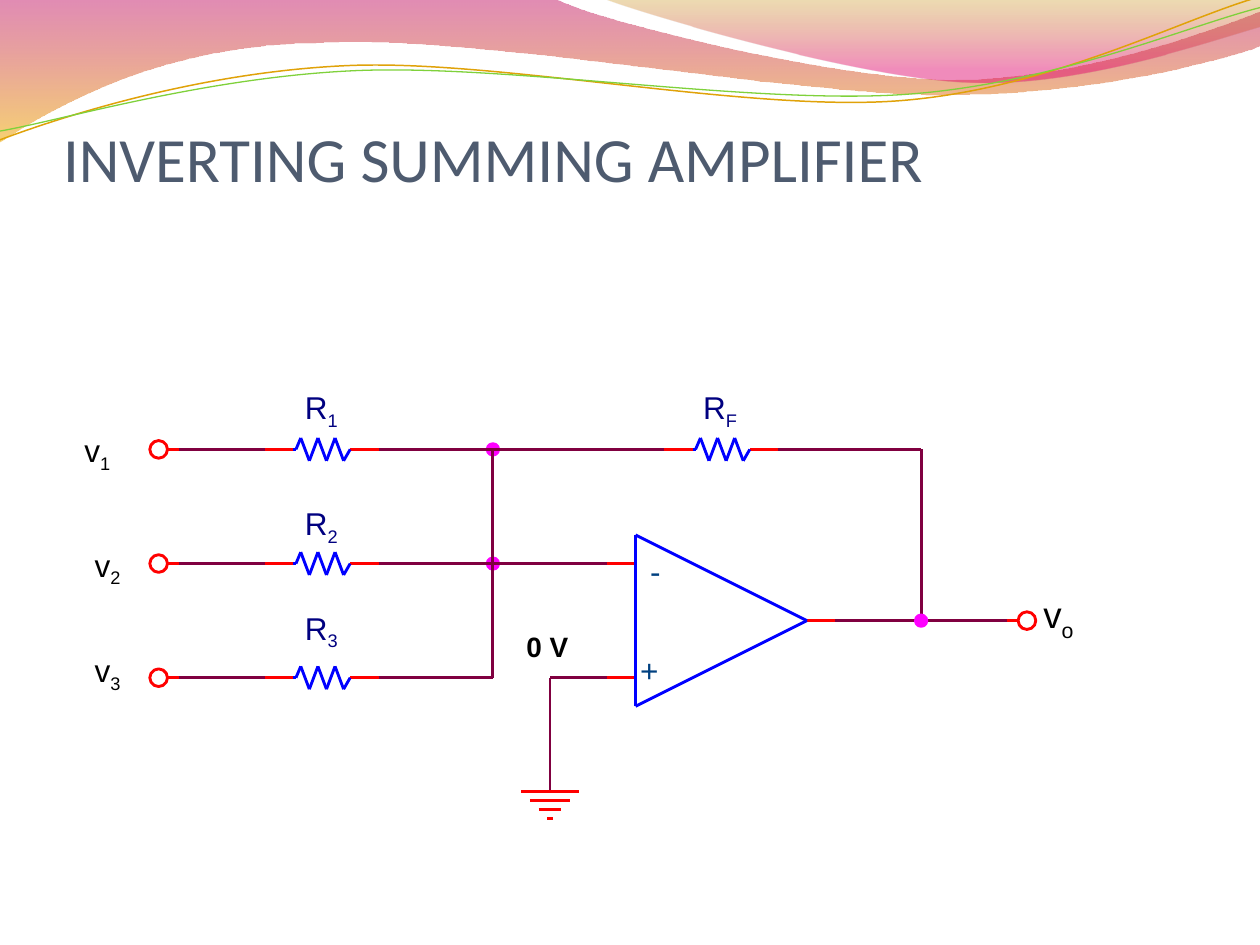
from itertools import pairwise
from math import cos, radians, sin
from lxml.etree import SubElement
from pptx import Presentation
from pptx.dml.color import RGBColor
from pptx.enum.shapes import MSO_CONNECTOR as Link, MSO_SHAPE as Form
from pptx.enum.text import MSO_ANCHOR as Anchor, MSO_AUTO_SIZE as Auto, PP_ALIGN as Align
from pptx.oxml.ns import qn
from pptx.util import Inches, Pt

RED = RGBColor(0xFF, 0x00, 0x00)
BLUE = RGBColor(0x00, 0x00, 0xFF)
PLUM = RGBColor(0x80, 0x00, 0x40)
PINK = RGBColor(0xFF, 0x00, 0xFF)
NAVY = RGBColor(0x00, 0x00, 0x80)
TEAL = RGBColor(0x00, 0x40, 0x80)
BLACK = RGBColor(0x00, 0x00, 0x00)
SLATE = RGBColor(0x4E, 0x5B, 0x6F)
ROSE = RGBColor(0xBD, 0x00, 0x59)
AMBER = RGBColor(0xF0, 0xAB, 0x00)
BRONZE = RGBColor(0xC3, 0x8B, 0x00)
CERISE = RGBColor(0xE1, 0x00, 0x6B)
GOLD = RGBColor(0xE0, 0xA2, 0x09)
GREEN = RGBColor(0x7F, 0xD1, 0x3B)

STEP = 6.57 / 29
LEFT, TOP = 1.42, 10.7 / 3
STUB = 0.4
WIDTH = 1.63
TILT = 2.7

SWEEP = [(0, -0.01), (4.4, -0.01), (4.76, 0.17, 6.64, 0.63, 7.58, 0.63),
         (8.53, 0.63, 9.58, 0.26, 10, 0.09), (10.01, 0.36),
         (9.83, 0.44, 8.7, 0.76, 7.46, 0.75), (6.22, 0.75, 3.82, 0.28, 2.57, 0.34),
         (1.29, 0.35, 0.46, 0.83, -0.01, 1.13)]
CREST = [(4.79, -0.01), (5.09, 0.11, 6.82, 0.62, 7.69, 0.65),
         (8.56, 0.69, 9.61, 0.32, 10, 0.21), (10, 0)]
UPPER = [(0, 1.11), (0.48, 0.93, 1.58, 0.57, 2.77, 0.52),
         (3.95, 0.47, 5.93, 0.89, 7.13, 0.8), (8.33, 0.71, 9.38, 0.15, 9.98, -0.02)]
LOWER = [(0, 1.04), (0.47, 0.96, 1.64, 0.61, 2.83, 0.56),
         (4.03, 0.51, 5.97, 0.83, 7.17, 0.75), (8.36, 0.67, 9.41, 0.21, 10, 0.06)]


def spot(col, row):
    return LEFT + col * STEP, TOP + row * STEP


def pairs(part):
    return list(zip(part[::2], part[1::2]))


def turn(dot, mid):
    x, y = dot[0] - mid[0], dot[1] - mid[1]
    c, s = cos(radians(TILT)), sin(radians(TILT))
    return mid[0] + x * c - y * s, mid[1] + x * s + y * c


def outline(slide, route, close):
    dots = [tuple(map(Inches, dot)) for part in route for dot in pairs(part)]
    pen = slide.shapes.build_freeform(*dots[0])
    pen.add_line_segments(dots[1:], close=close)
    shape = pen.convert_to_shape()
    shape.shadow.inherit = False
    legs = iter(list(shape.element.iter(qn("a:lnTo"))))
    for part in route[1:]:
        group = [next(legs) for _ in pairs(part)]
        if len(group) == 3:
            bend = group[0].makeelement(qn("a:cubicBezTo"))
            group[0].addprevious(bend)
            for leg in group:
                bend.append(leg[0])
                leg.getparent().remove(leg)
    return shape


def band(slide, route, stops):
    shape = outline(slide, route, True)
    shape.line.fill.background()
    shape.fill.gradient()
    shape.fill.gradient_angle = 270
    for stop, (place, color, _) in zip(shape.fill.gradient_stops, stops):
        stop.position = place
        stop.color.rgb = color
    for tag, (_, _, alpha) in zip(shape.element.iter(qn("a:srgbClr")), stops):
        SubElement(tag, qn("a:alpha")).set("val", str(alpha * 1000))


def curve(slide, route, mid, color, width):
    flat = [sum((turn(dot, mid) for dot in pairs(part)), ()) for part in route]
    shape = outline(slide, flat, False)
    shape.rotation = 360 - TILT
    shape.fill.background()
    shape.line.color.rgb = color
    shape.line.width = Pt(width)


def wire(slide, color, *spots):
    for start, end in pairwise(spots):
        ends = [Inches(v) for v in (*spot(*start), *spot(*end))]
        line = slide.shapes.add_connector(Link.STRAIGHT, *ends)
        line.line.color.rgb = color
        line.line.width = Pt(WIDTH)
        SubElement(line.element.spPr, qn("a:effectLst"))


def ring(slide, col, row, size, color, solid=False):
    x, y = spot(col, row)
    box = (x - size / 2, y - size / 2, size, size)
    shape = slide.shapes.add_shape(Form.OVAL, *map(Inches, box))
    shape.shadow.inherit = False
    shape.line.color.rgb = color
    shape.line.width = Pt(WIDTH)
    if solid:
        shape.fill.solid()
        shape.fill.fore_color.rgb = color
    else:
        shape.fill.background()


def write(frame, words, sub="", size=18, face="Arial", color=BLACK, bold=False):
    para = frame.paragraphs[0]
    para.alignment = Align.LEFT
    for part in filter(None, (words, sub)):
        run = para.add_run()
        run.text = part
        font = run.font
        font.size, font.name, font.bold = Pt(size), face, bold
        font.color.rgb = color
        if part == sub:
            run._r.get_or_add_rPr().set("baseline", "-25000")


def label(slide, box, words, inset=(0, 0), wrap=False, **style):
    frame = slide.shapes.add_textbox(*map(Inches, box)).text_frame
    frame.margin_left = frame.margin_right = Inches(inset[0])
    frame.margin_top = frame.margin_bottom = Inches(inset[1])
    frame.word_wrap = wrap
    frame.auto_size = Auto.SHAPE_TO_FIT_TEXT
    write(frame, words, **style)


def port(slide, col, row, side):
    tip = col + side * STUB
    wire(slide, RED, (col, row), (tip, row))
    ring(slide, tip + side * 0.07 / STEP, row, 0.14, RED)


def coil(slide, col, row):
    wire(slide, RED, (col, row), (col + 1, row))
    wire(slide, RED, (col + 3, row), (col + 4, row))
    first = col + 1
    peaks = [(first + 0.27 + 0.3 * i, row + (0.4 if i % 2 else -0.4)) for i in range(6)]
    wire(slide, BLUE, (first, row), (first + 0.1, row), *peaks, (col + 3, row))


def ground(slide, col, row):
    for i, half in enumerate((1, 0.7, 0.4, 0.1)):
        y = row + 0.31 * i
        wire(slide, RED, (col - half, y), (col + half, y))


def heading(slide):
    title = slide.shapes.title
    title.left, title.top, title.width, title.height = map(Inches, (0.5, 0.3, 9, 1.25))
    frame = title.text_frame
    frame.margin_left = frame.margin_right = frame.margin_bottom = 0
    frame.margin_top = Inches(0.05)
    frame.vertical_anchor = Anchor.BOTTOM
    write(frame, "INVERTING SUMMING AMPLIFIER", size=36, face="Calibri", color=SLATE)
    title.element.getparent().append(title.element)


def inputs(slide):
    marks = (("1", 0.67, 3.42, 3.08), ("2", 0.75, 4.33, 4), ("3", 0.75, 5.17, 4.83))
    for i, (sub, x, y, top) in enumerate(marks):
        row = 4 * i
        port(slide, 0, row, -1)
        wire(slide, PLUM, (0, row), (3, row))
        coil(slide, 3, row)
        wire(slide, PLUM, (7, row), (11, row))
        label(slide, (x, y, 0.22, 0.3), "v", sub=sub)
        label(slide, (2.42, top, 0.27, 0.3), "R", sub=sub, color=NAVY)
    wire(slide, PLUM, (11, 0), (11, 4), (11, 8))


def output(slide):
    wire(slide, PLUM, (11, 0), (17, 0))
    coil(slide, 17, 0)
    wire(slide, PLUM, (21, 0), (26, 0), (26, 6), (29, 6))
    wire(slide, PLUM, (23, 6), (26, 6))
    port(slide, 29, 6, 1)
    ring(slide, 26, 6, 0.09, PINK, solid=True)
    label(slide, (5.58, 3.08, 0.33, 0.3), "R", sub="F", wrap=True, color=NAVY)
    label(slide, (8.28, 4.7, 0.25, 0.35), "v", sub="o", size=21)


def opamp(slide):
    wire(slide, PLUM, (11, 4), (15, 4))
    wire(slide, PLUM, (15, 8), (13, 8), (13, 12))
    for row in (4, 8):
        wire(slide, RED, (15, row), (16, row))
    wire(slide, RED, (22, 6), (23, 6))
    wire(slide, BLUE, (16, 3), (22, 6), (16, 9), (16, 3))
    ground(slide, 13, 12)
    label(slide, (5.16, 4.38, 0.08, 0.3), "-", color=TEAL)
    label(slide, (5.08, 5.17, 0.15, 0.3), "+", color=TEAL)
    label(slide, (4.08, 4.95, 0.53, 0.37), "0 V", inset=(0.1, 0.05), size=16, bold=True)


def main():
    deck = Presentation()
    deck.slide_width, deck.slide_height = Inches(10), Inches(7.5)
    slide = deck.slides.add_slide(deck.slide_layouts[5])
    band(slide, SWEEP, ((0, ROSE, 45), (1, AMBER, 55)))
    band(slide, CREST, ((0, BRONZE, 30), (0.8, CERISE, 45)))
    curve(slide, UPPER, (4.99, 0.57), GOLD, 0.85)
    curve(slide, LOWER, (4.99, 0.59), GREEN, 0.75)
    heading(slide)
    for row in (0, 4):
        ring(slide, 11, row, 0.09, PINK, solid=True)
    inputs(slide)
    output(slide)
    opamp(slide)
    deck.save("out.pptx")


if __name__ == "__main__":
    main()
